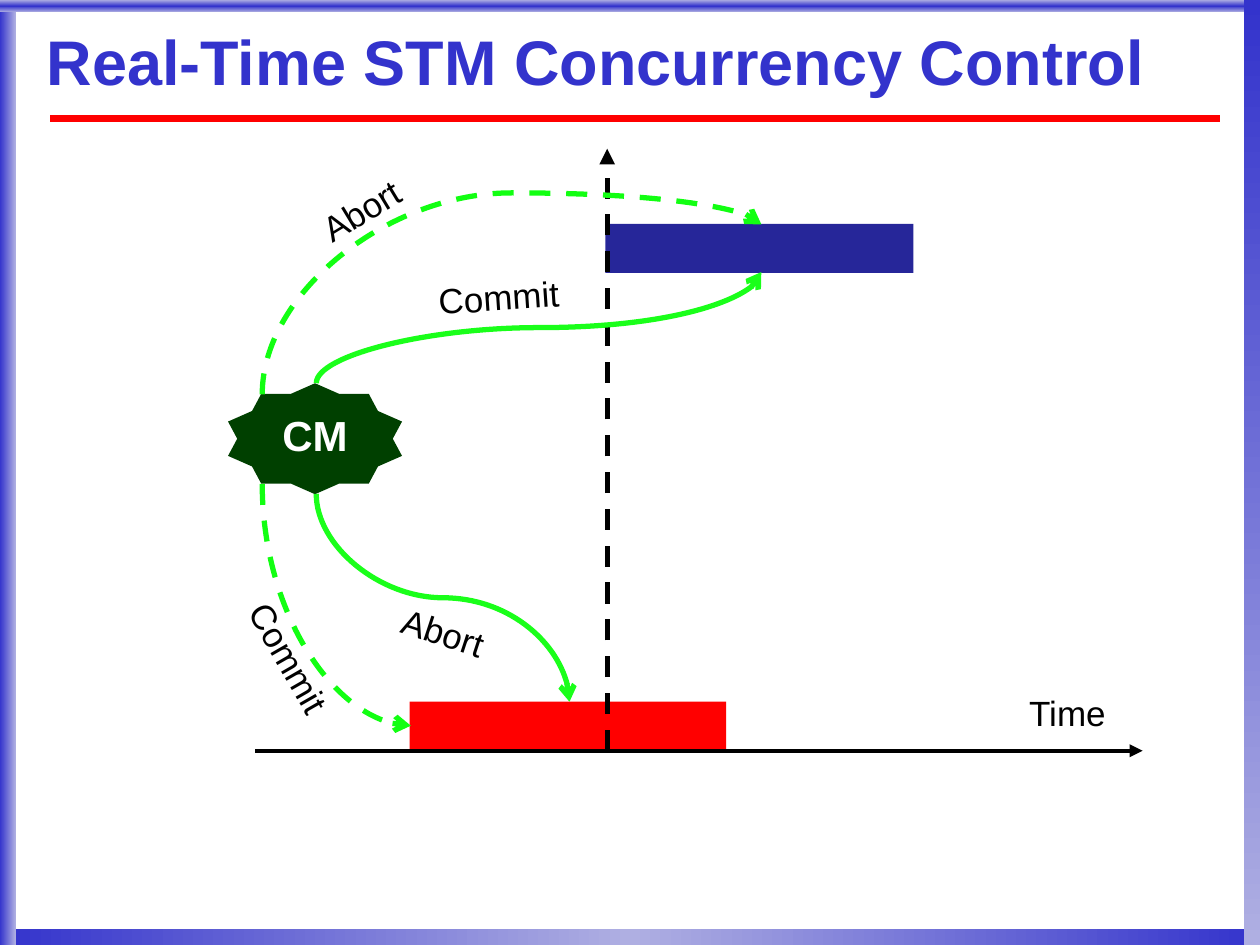
from lxml.etree import SubElement
from pptx import Presentation
from pptx.dml.color import RGBColor
from pptx.enum.dml import MSO_LINE_DASH_STYLE as Dash
from pptx.enum.shapes import MSO_CONNECTOR as Link, MSO_SHAPE as Shape
from pptx.enum.text import MSO_ANCHOR as Anchor, MSO_AUTO_SIZE as AutoSize, PP_ALIGN as Align
from pptx.oxml import parse_xml
from pptx.oxml.ns import nsdecls, qn
from pptx.util import Pt

BLUE = RGBColor(0x33, 0x33, 0xCC)
PALE_BLUE = RGBColor(0xAF, 0xAF, 0xE2)
NAVY = RGBColor(0x26, 0x26, 0x99)
RED = RGBColor(0xFF, 0x00, 0x00)
DARK_GREEN = RGBColor(0x00, 0x40, 0x00)
GREEN = RGBColor(0x1A, 0xFF, 0x1A)
DASH_GREEN = RGBColor(0x12, 0xFF, 0x12)
BLACK = RGBColor(0x00, 0x00, 0x00)
WHITE = RGBColor(0xFF, 0xFF, 0xFF)


def write_text(box, text, size, color, align=Align.CENTER, bold=False, spacing=0.85):
    box.text_frame.word_wrap = True
    para = box.text_frame.paragraphs[0]
    para.alignment = align
    para.line_spacing = spacing
    span = para.add_run()
    span.text = text
    span.font.size = Pt(size)
    span.font.bold = bold
    span.font.color.rgb = color
    span.font.name = "Arial"
    return span


def draw_line(kind, start, end, color, width, head=None, dashed=False):
    line = page.shapes.add_connector(kind, *map(Pt, start + end))
    line.line.color.rgb = color
    line.line.width = Pt(width)
    if dashed:
        line.line.dash_style = Dash.DASH
    properties = line._element.spPr
    if head:
        SubElement(properties.find(qn("a:ln")), qn("a:tailEnd"), type=head)
    SubElement(properties, qn("a:effectLst"))
    return line


deck = Presentation()
deck.slide_width, deck.slide_height = Pt(720), Pt(540)
page = deck.slides.add_slide(deck.slide_layouts[5])

# Gradient frame around the slide
frame_bars = [
    ((0, 531, 720, 9), (BLUE, PALE_BLUE, BLUE), 0),
    ((0, 0, 9, 540), (BLUE, PALE_BLUE), 0),
    ((0, 0, 720, 7), (PALE_BLUE, BLUE, PALE_BLUE), 90),
    ((711, 0, 9, 540), (BLUE, PALE_BLUE), 90),
]
for area, colors, angle in frame_bars:
    bar = page.shapes.add_shape(Shape.RECTANGLE, *map(Pt, area))
    bar.shadow.inherit = False
    bar.line.fill.background()
    stops = "".join(
        f'<a:gs pos="{100000 * i // (len(colors) - 1)}"><a:srgbClr val="{color}"/></a:gs>'
        for i, color in enumerate(colors)
    )
    gradient = parse_xml(
        f'<a:gradFill {nsdecls("a")} rotWithShape="1"><a:gsLst>{stops}</a:gsLst>'
        f'<a:lin ang="{angle * 60000}" scaled="0"/></a:gradFill>'
    )
    bar._element.spPr.find(qn("a:prstGeom")).addnext(gradient)

# Title with its shadow and rule
draw_line(Link.STRAIGHT, (28.8, 67.7), (697, 67.7), RED, 4.5)
title = page.shapes.title
title.left, title.top, title.width, title.height = map(Pt, (26.6, 10.8, 669.6, 53.3))
frame = title.text_frame
frame.auto_size = AutoSize.NONE
frame.vertical_anchor = Anchor.MIDDLE
frame.margin_left = frame.margin_top = frame.margin_right = frame.margin_bottom = 0
heading = write_text(title, "Real-Time STM Concurrency Control", 36, BLUE, Align.LEFT, True, 0.87)
shadow = parse_xml(
    f'<a:effectLst {nsdecls("a")}><a:outerShdw dist="35921" dir="2700000">'
    '<a:srgbClr val="B2B2B2"/></a:outerShdw></a:effectLst>'
)
heading._r.rPr.find(qn("a:solidFill")).addnext(shadow)

# Two transactions and the contention manager
blocks = [
    (Shape.RECTANGLE, (234, 401, 181, 28), RED),
    (Shape.RECTANGLE, (346, 128, 176, 28), NAVY),
    (Shape.STAR_10_POINT, (130.3, 219, 99.4, 63.4), DARK_GREEN),
]
for kind, area, color in blocks:
    block = page.shapes.add_shape(kind, *map(Pt, area))
    block.shadow.inherit = False
    block.fill.solid()
    block.fill.fore_color.rgb = color
    block.line.fill.background()
    if kind == Shape.STAR_10_POINT:
        block.text_frame.vertical_anchor = Anchor.MIDDLE
        write_text(block, "CM", 24, WHITE, bold=True)

# Axes
draw_line(Link.STRAIGHT, (347, 429), (347, 85), BLACK, 3, "triangle", True)
draw_line(Link.STRAIGHT, (146, 429), (653, 429), BLACK, 2.5, "triangle")

# Curved arrows leave the manager vertically, so each is a quarter-turned connector
arrows = [
    ((180.7, 219), (435, 155.5), GREEN, False, "curvedConnector3", 0.5),
    ((180.7, 282.2), (325.4, 401), GREEN, False, "curvedConnector3", 0.5),
    ((149.8, 225.4), (435, 128.2), DASH_GREEN, True, "curvedConnector3", 1.185),
    ((149.8, 276.5), (234.7, 414.7), DASH_GREEN, True, "curvedConnector2", None),
]
for (x1, y1), (x2, y2), color, dashed, preset, bend in arrows:
    middle_x, middle_y = (x1 + x2) / 2, (y1 + y2) / 2
    half_width, half_height = abs(y2 - y1) / 2, (x2 - x1) / 2
    rises = y2 < y1
    rise = half_height if rises else -half_height
    arrow = draw_line(
        Link.CURVE,
        (middle_x + half_width, middle_y + rise),
        (middle_x - half_width, middle_y - rise),
        color, 3, "arrow", dashed,
    )
    properties = arrow._element.spPr
    properties.find(qn("a:xfrm")).set("rot", str((90 if rises else 270) * 60000))
    geometry = properties.find(qn("a:prstGeom"))
    geometry.set("prst", preset)
    if bend is not None:
        guides = geometry.find(qn("a:avLst"))
        SubElement(guides, qn("a:gd"), name="adj1", fmla=f"val {round(bend * 100000)}")

# Labels
labels = [
    ("Time", 581, 395.3, 79, 0, Align.LEFT),
    ("Commit", 234.7, 157.7, 100.8, -3.9, Align.CENTER),
    ("Abort", 202.3, 349.2, 100.8, 18.2, Align.CENTER),
    ("Commit", 113, 363, 100.8, 60.2, Align.CENTER),
    ("Abort", 157, 108, 100.8, -31.2, Align.CENTER),
]
for text, left, top, width, angle, align in labels:
    label = page.shapes.add_textbox(Pt(left), Pt(top), Pt(width), Pt(28))
    label.rotation = angle
    write_text(label, text, 20, BLACK, align)

deck.save("out.pptx")
